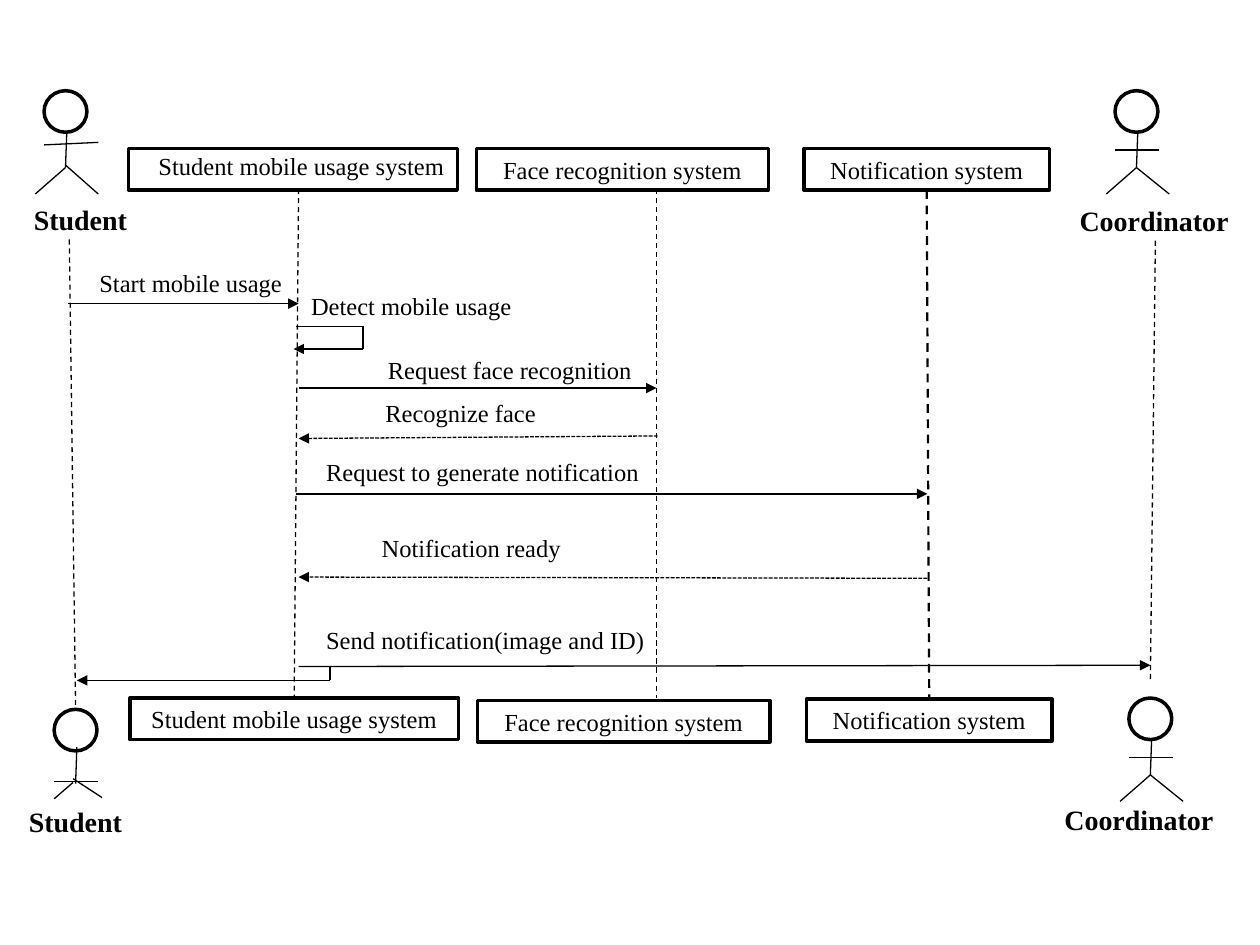
from lxml.etree import SubElement
from pptx import Presentation
from pptx.dml.color import RGBColor
from pptx.enum.dml import MSO_LINE as Dash
from pptx.enum.shapes import MSO_CONNECTOR as Connector, MSO_SHAPE as Shape
from pptx.enum.text import MSO_ANCHOR as Anchor, PP_ALIGN as Align
from pptx.oxml.ns import qn
from pptx.util import Inches, Pt

BLACK, WHITE, FONT = "000000", "FFFFFF", "Times New Roman"
BOX_HEIGHT, HEAD_WIDTH, HEAD_HEIGHT = 0.33, 0.34, 0.33
TOP, BOTTOM = 0, 2

SYSTEMS = [
    ("student top", 1.02, 1.18, 2.61, ""),
    ("face top", 3.78, 1.18, 2.32, "Face recognition system"),
    ("notification top", 6.38, 1.18, 1.95, "Notification system"),
    ("student bottom", 1.03, 5.54, 2.61, "Student mobile usage system"),
    ("face bottom", 3.79, 5.56, 2.32, "Face recognition system"),
    ("notification bottom", 6.4, 5.55, 1.95, "Notification system"),
]
POSE = {
    "body": (0.18, 0.33, 0.17, 0.61),
    "left leg": (0.17, 0.61, -0.07, 0.82),
    "right leg": (0.17, 0.61, 0.43, 0.82),
    "arms": (0, 0.47, 0.35, 0.47),
}
RAISED_ARM = {"arms": (0, 0.43, 0.43, 0.41), "right leg": (0.17, 0.59, 0.43, 0.82)}
CROUCHED = {
    "body": (0.18, 0.3, 0.17, 0.59),
    "left leg": (0.15, 0.58, 0, 0.71),
    "right leg": (0.15, 0.55, 0.38, 0.7),
    "arms": (0, 0.57, 0.35, 0.57),
}
ACTORS = [
    ("student head top", 0.35, 0.72, RAISED_ARM),
    ("coordinator head top", 8.85, 0.72, {}),
    ("student head bottom", 0.43, 5.63, CROUCHED),
    ("coordinator head bottom", 8.96, 5.54, {}),
]
LIFELINES = [
    ((0.55, 1.9, 0.61, 5.63), 0.75, None, "student head bottom"),
    ((2.37, 1.5, 2.34, 5.54), 0.75, None, "student bottom"),
    ((5.21, 1.5, 5.21, 5.54), 0.75, None, None),
    ((7.36, 1.5, 7.37, 5.55), 1.25, "notification top", "notification bottom"),
    ((9.17, 1.91, 9.13, 5.4), 0.75, None, None),
]
CALLS = [
    [(0.54, 2.41), (2.37, 2.41)],
    [(2.35, 2.59), (2.88, 2.59), (2.88, 2.77), (2.33, 2.77)],
    [(2.37, 3.08), (5.21, 3.08)],
    [(2.35, 3.92), (7.36, 3.92)],
    [(2.37, 5.29), (9.13, 5.28)],
    [(2.62, 5.29), (2.62, 5.4), (0.61, 5.4)],
]
REPLIES = [
    [(5.22, 3.46), (2.37, 3.48)],
    [(7.36, 4.59), (2.37, 4.58)],
]
MESSAGES = [
    ("Student mobile usage system", 1.16, 1.15, 5.13),
    ("Start mobile usage", 0.69, 2.08, 2.12),
    ("Detect mobile usage", 2.37, 2.26, 1.82),
    ("Request face recognition", 2.98, 2.77, 2.56),
    ("Recognize face", 2.96, 3.11, 1.82),
    ("Request to generate notification", 2.49, 3.58, 2.96),
    ("Notification ready", 2.93, 4.18, 2.78),
    ("Send notification(image and ID)", 2.49, 4.91, 3.06),
]
ACTOR_NAMES = [
    ("Student", 0.17, 1.56, 1.19, 0.34, True),
    ("Coordinator", 8.47, 1.57, 1.39, 0.34, True),
    ("Coordinator", 8.35, 6.32, 1.44, 0.37, True),
    ("Student", 0.13, 6.34, 0.95, 0.37, False),
]
MESSAGE_FONT = {"name": FONT, "size": Pt(14)}
NAME_FONT = {"name": FONT, "size": Pt(16), "bold": True}


def color(value):
    return RGBColor.from_string(value)


def write(shape, text, font_format):
    paragraph = shape.text_frame.paragraphs[0]
    run = paragraph.add_run()
    run.text = text
    for name, value in font_format.items():
        setattr(run.font, name, value)
    run.font.color.rgb = color(BLACK)
    return paragraph


def add_outline(slide, kind, left, top, width, height):
    shape = slide.shapes.add_shape(kind, *map(Inches, (left, top, width, height)))
    shape.shadow.inherit = False
    shape.fill.solid()
    shape.fill.fore_color.rgb = color(WHITE)
    shape.line.color.rgb = color(BLACK)
    shape.line.width = Pt(2)
    return shape


def add_text(slide, text, left, top, width, height, font_format, wrap=True):
    text_box = slide.shapes.add_textbox(*map(Inches, (left, top, width, height)))
    text_box.text_frame.word_wrap = wrap
    write(text_box, text, font_format)


def add_line(slide, ends, width=0.75, dash=None, arrow=False):
    line = slide.shapes.add_connector(Connector.STRAIGHT, *map(Inches, ends))
    line.line.color.rgb = color(BLACK)
    line.line.width = Pt(width)
    if dash:
        line.line.dash_style = dash
    if arrow:
        SubElement(line.line._get_or_add_ln(), qn("a:tailEnd"), type="triangle")
    SubElement(line._element.spPr, qn("a:effectLst"))
    return line


def add_route(slide, points, dash=None):
    last = len(points) - 2
    for index, (start, end) in enumerate(zip(points, points[1:])):
        add_line(slide, start + end, dash=dash, arrow=index == last)


def add_actor(slide, left, top, changes):
    head = add_outline(slide, Shape.FLOWCHART_CONNECTOR, left, top, HEAD_WIDTH, HEAD_HEIGHT)
    for x1, y1, x2, y2 in {**POSE, **changes}.values():
        add_line(slide, (left + x1, top + y1, left + x2, top + y2))
    return head


def main():
    presentation = Presentation()
    presentation.slide_width, presentation.slide_height = Inches(10), Inches(7.5)
    slide = presentation.slides.add_slide(presentation.slide_layouts[6])
    anchors = {}
    for key, left, top, width, text in SYSTEMS:
        box = add_outline(slide, Shape.RECTANGLE, left, top, width, BOX_HEIGHT)
        if text:
            box.text_frame.vertical_anchor = Anchor.MIDDLE
            write(box, text, MESSAGE_FONT).alignment = Align.CENTER
        anchors[key] = box
    for key, left, top, changes in ACTORS:
        anchors[key] = add_actor(slide, left, top, changes)
    for ends, width, start, finish in LIFELINES:
        lifeline = add_line(slide, ends, width, Dash.DASH)
        if start:
            lifeline.begin_connect(anchors[start], BOTTOM)
        if finish:
            lifeline.end_connect(anchors[finish], TOP)
    for points in CALLS:
        add_route(slide, points)
    for points in REPLIES:
        add_route(slide, points, Dash.SQUARE_DOT)
    for text, left, top, width in MESSAGES:
        add_text(slide, text, left, top, width, 0.31, MESSAGE_FONT)
    for text, left, top, width, height, wrap in ACTOR_NAMES:
        add_text(slide, text, left, top, width, height, NAME_FONT, wrap)
    presentation.save("out.pptx")


if __name__ == "__main__":
    main()
